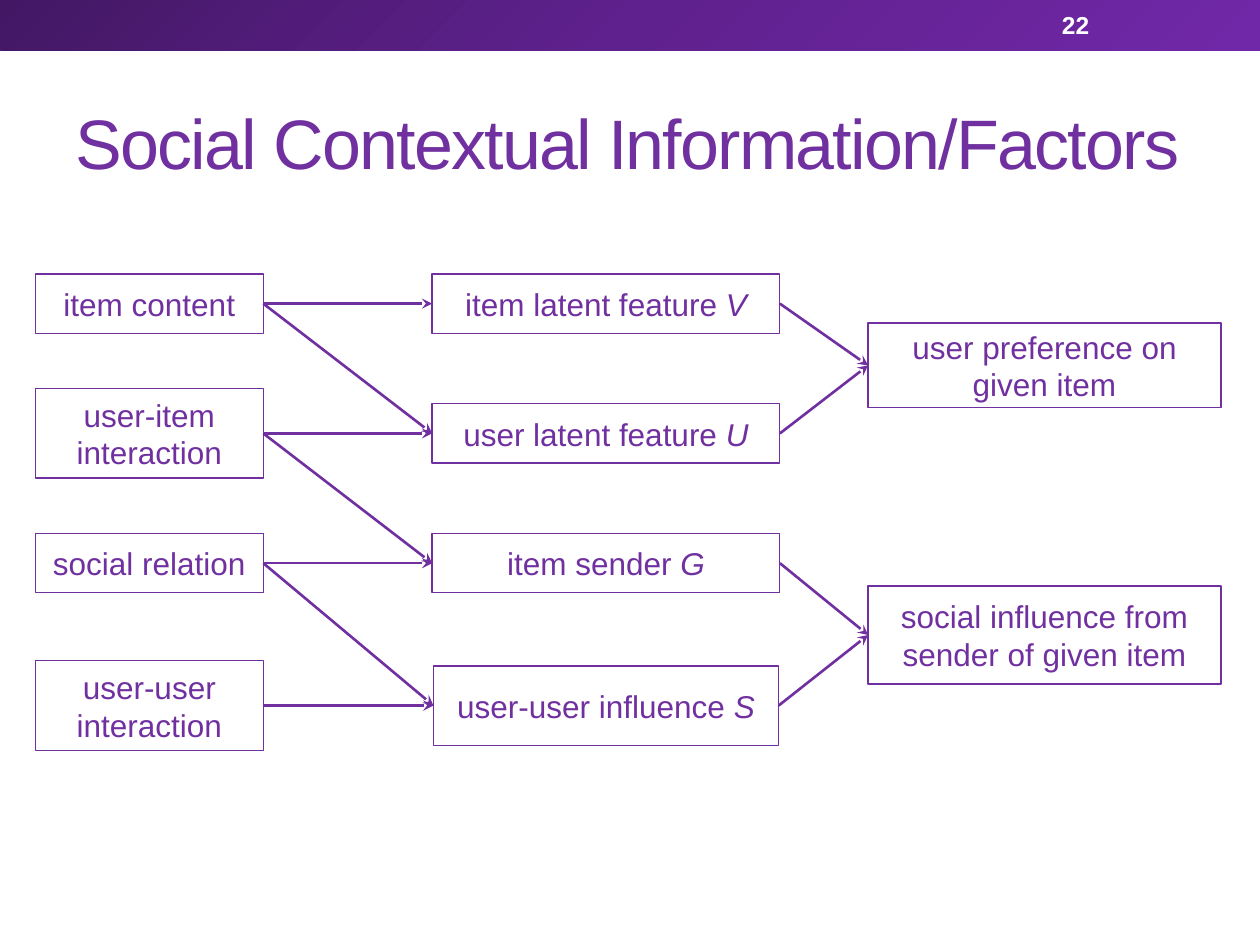
"""Build the slide on social contextual information and factors."""
from copy import deepcopy
from dataclasses import dataclass

from pptx import Presentation
from pptx.dml.color import RGBColor as Rgb
from pptx.enum.shapes import MSO_CONNECTOR as Connector, MSO_SHAPE as Shape
from pptx.enum.text import MSO_ANCHOR as Anchor, PP_ALIGN as Align
from pptx.oxml.ns import qn
from pptx.oxml.xmlchemy import OxmlElement
from pptx.util import Inches, Pt


@dataclass(frozen=True)
class Theme:
    font: str = "Arial"
    purple: Rgb = Rgb(0x70, 0x30, 0xA0)
    white: Rgb = Rgb(0xFF, 0xFF, 0xFF)
    banner: tuple = ("431764", "5F218E", "7128A8")
    title_size: int = 40
    number_size: int = 14
    factor_size: int = 18
    border: float = 0.75
    arrow: float = 1.5


@dataclass(frozen=True)
class Column:
    left: float
    width: float


@dataclass(frozen=True)
class Factor:
    label: str
    column: Column
    middle: float
    height: float
    symbol: str = ""


@dataclass(frozen=True)
class Influence:
    cause: str
    effect: str


THEME = Theme()
RIGHT_SITE, LEFT_SITE = 3, 1
SOURCES, LATENTS, OUTCOMES = Column(0.28, 1.81), Column(3.43, 2.76), Column(6.89, 2.8)
ROWS = (2.41, 3.44, 4.47, 5.6)

FACTORS = {
    "content": Factor("item content", SOURCES, ROWS[0], 0.47),
    "user-item": Factor("user-item interaction", SOURCES, ROWS[1], 0.71),
    "relation": Factor("social relation", SOURCES, ROWS[2], 0.47),
    "user-user": Factor("user-user interaction", SOURCES, ROWS[3], 0.71),
    "V": Factor("item latent feature ", LATENTS, ROWS[0], 0.47, "V"),
    "U": Factor("user latent feature ", LATENTS, ROWS[1], 0.47, "U"),
    "G": Factor("item sender ", LATENTS, ROWS[2], 0.47, "G"),
    "S": Factor("user-user influence ", Column(3.44, 2.74), ROWS[3], 0.63, "S"),
    "preference": Factor("user preference on given item", OUTCOMES, 2.9, 0.67),
    "influence": Factor("social influence from sender of given item", OUTCOMES, 5.04, 0.78),
}
INFLUENCES = (
    Influence("content", "V"),
    Influence("content", "U"),
    Influence("user-item", "U"),
    Influence("user-item", "G"),
    Influence("relation", "G"),
    Influence("relation", "S"),
    Influence("user-user", "S"),
    Influence("V", "preference"),
    Influence("U", "preference"),
    Influence("G", "influence"),
    Influence("S", "influence"),
)


def write_text(frame, text: str, *, size: float, color: Rgb = THEME.purple,
               align: Align = Align.LEFT, bold: bool = False,
               symbol: str = "", spacing: float = 0) -> None:
    """Fill a text frame with one paragraph and an optional italic symbol."""
    frame.word_wrap = True
    frame.vertical_anchor = Anchor.MIDDLE
    paragraph = frame.paragraphs[0]
    paragraph.alignment = align
    for part, italic in ((text, False), (symbol, True)):
        if part:
            run = paragraph.add_run()
            run.text = part
            run.font.name = THEME.font
            run.font.size = Pt(size)
            run.font.bold = bold
            run.font.italic = italic
            run.font.color.rgb = color
            if spacing:
                run.font._element.set("spc", str(round(spacing * 100)))


def draw_banner(slide) -> None:
    """Draw the gradient band across the top."""
    banner = slide.shapes.add_shape(Shape.RECTANGLE, 0, 0, Inches(10), Inches(0.4))
    banner.shadow.inherit = False
    banner.line.fill.background()
    banner.fill.gradient()
    banner.fill.gradient_angle = 315
    first_stop = banner.element.spPr.find(".//" + qn("a:gs"))
    middle_stop = deepcopy(first_stop)
    middle_stop.set("pos", "50000")
    first_stop.addnext(middle_stop)
    for stop, color in zip(banner.fill.gradient_stops, THEME.banner):
        stop.color.rgb = Rgb.from_string(color)


def draw_factor(slide, factor: Factor):
    """Draw one outlined factor and return its shape."""
    box = slide.shapes.add_shape(
        Shape.RECTANGLE, Inches(factor.column.left),
        Inches(factor.middle - factor.height / 2),
        Inches(factor.column.width), Inches(factor.height))
    box.shadow.inherit = False
    box.fill.background()
    box.line.color.rgb = THEME.purple
    box.line.width = Pt(THEME.border)
    write_text(box.text_frame, factor.label, symbol=factor.symbol,
               size=THEME.factor_size, align=Align.CENTER)
    return box


def draw_influence(slide, cause, effect) -> None:
    """Connect two factors with a stealth arrow."""
    arrow = slide.shapes.add_connector(Connector.STRAIGHT, 0, 0, 0, 0)
    arrow.begin_connect(cause, RIGHT_SITE)
    arrow.end_connect(effect, LEFT_SITE)
    arrow.line.color.rgb = THEME.purple
    arrow.line.width = Pt(THEME.arrow)
    head = OxmlElement("a:tailEnd")
    head.set("type", "stealth")
    arrow.line._get_or_add_ln().append(head)
    arrow.element.spPr.append(OxmlElement("a:effectLst"))


def main() -> None:
    """Assemble and save the slide."""
    deck = Presentation()
    deck.slide_width, deck.slide_height = Inches(10), Inches(7.5)
    slide = deck.slides.add_slide(deck.slide_layouts[5])
    draw_banner(slide)

    title = slide.shapes.title
    title.left, title.top = Inches(0.5), Inches(0.58)
    title.width, title.height = Inches(9), Inches(1.08)
    write_text(title.text_frame, "Social Contextual Information/Factors",
               size=THEME.title_size, spacing=-1)

    page_number = slide.shapes.add_textbox(
        Inches(8.33), Inches(0.02), Inches(1.17), Inches(0.36))
    write_text(page_number.text_frame, "22", size=THEME.number_size,
               color=THEME.white, bold=True)

    boxes = {key: draw_factor(slide, factor) for key, factor in FACTORS.items()}
    for influence in INFLUENCES:
        draw_influence(slide, boxes[influence.cause], boxes[influence.effect])
    deck.save("out.pptx")


if __name__ == "__main__":
    main()
